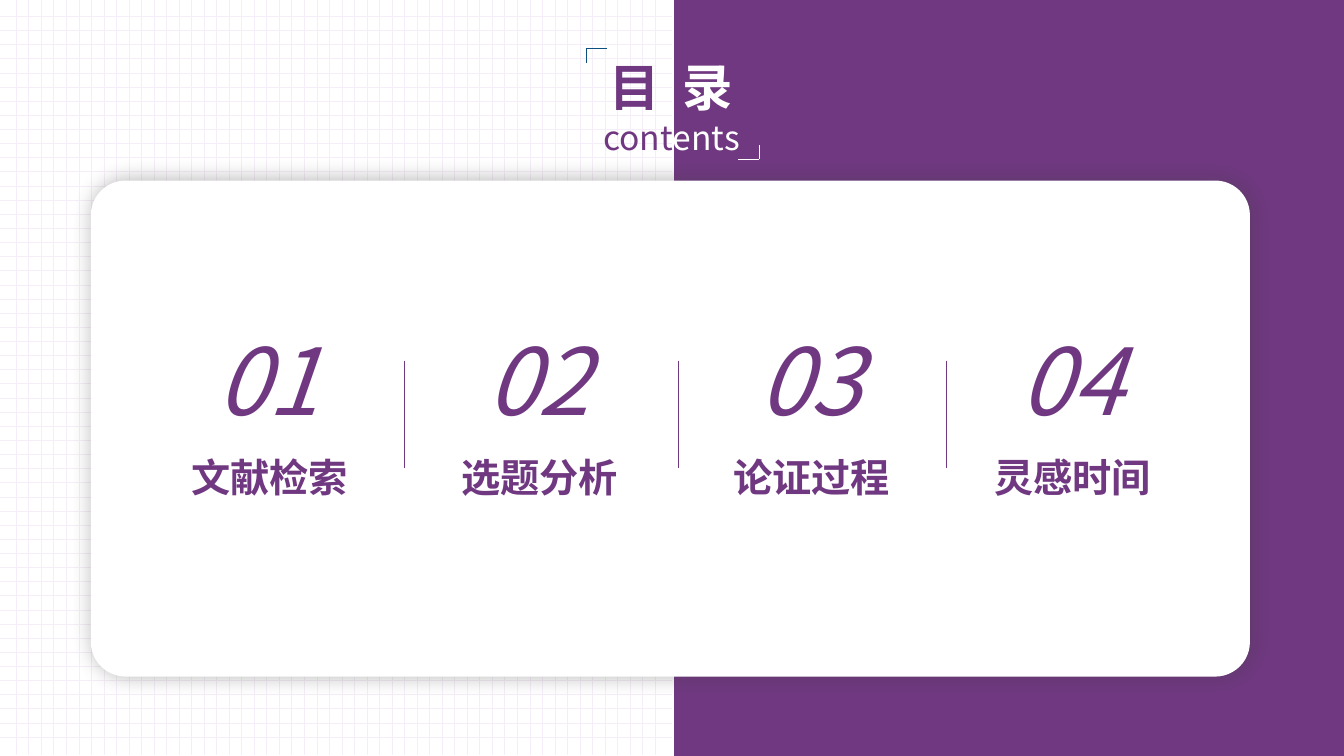
from pptx import Presentation
from pptx.dml.color import RGBColor
from pptx.enum.shapes import MSO_CONNECTOR as Conn, MSO_SHAPE as Shape
from pptx.enum.text import MSO_AUTO_SIZE as Fit, PP_ALIGN as Align
from pptx.oxml import parse_xml
from pptx.oxml.ns import nsdecls, qn
from pptx.util import Cm, Pt
from lxml import etree

FONT = "Noto Sans CJK SC"
PURPLE, WHITE, GRID, BLUE = "703881", "FFFFFF", "F5EDF7", "0D4E81"
color = RGBColor.from_string

prs = Presentation()
prs.slide_width, prs.slide_height = Cm(33.87), Cm(19.05)
slide = prs.slides.add_slide(prs.slide_layouts[6])


def line(x1, y1, x2, y2, tint, width=0.5):
    ends = [Cm(v) for v in (x1, y1, x2, y2)]
    rule = slide.shapes.add_connector(Conn.STRAIGHT, *ends)
    rule.line.color.rgb = color(tint)
    rule.line.width = Pt(width)
    etree.SubElement(rule._element.spPr, qn("a:effectLst"))


def text(x, y, w, h, rows, align=Align.CENTER):
    """Each row is a list of runs: (words, size, tint, bold, italic)."""
    box = slide.shapes.add_textbox(Cm(x), Cm(y), Cm(w), Cm(h))
    frame = box.text_frame
    frame.word_wrap = True
    frame.auto_size = Fit.SHAPE_TO_FIT_TEXT
    for i, row in enumerate(rows):
        para = frame.add_paragraph() if i else frame.paragraphs[0]
        para.alignment = align
        for words, size, tint, bold, slant in row:
            run = para.add_run()
            run.text = words
            font = run.font
            font.size, font.bold, font.italic = Pt(size), bold, slant
            font.color.rgb = color(tint)
            font.name = FONT
            etree.SubElement(font._element, qn("a:ea"), typeface=FONT)
    return frame


# Fine grid on the left half
COUNT = 52
for i in range(COUNT):
    y = 0.41 + i * (18.57 - 0.41) / (COUNT - 1)
    line(0, y, 16.94, y, GRID, 0.25)
for i in range(COUNT):
    x = 0.41 + i * (16.51 - 0.41) / (COUNT - 1)
    line(x, -0.03, x, 19.02, GRID)

# Purple half and white card
panel = slide.shapes.add_shape(Shape.RECTANGLE, Cm(16.99), 0, Cm(16.94), Cm(19.05))
card = slide.shapes.add_shape(
    Shape.ROUNDED_RECTANGLE, Cm(2.29), Cm(4.55), Cm(29.21), Cm(12.5))
card.adjustments[0] = 0.07
for block, tint in ((panel, PURPLE), (card, WHITE)):
    block.shadow.inherit = False
    block.fill.solid()
    block.fill.fore_color.rgb = color(tint)
    block.line.fill.background()

# Soft shadow of the card
glow = card._element.spPr.find(qn("a:effectLst"))
glow.append(parse_xml(
    f'<a:outerShdw {nsdecls("a")} blurRad="{Pt(15)}" dist="{Pt(2)}" dir="0" '
    'algn="ctr" rotWithShape="0"><a:srgbClr val="404040">'
    '<a:alpha val="40000"/></a:srgbClr></a:outerShdw>'))

# Title, each row split in colour where the halves meet
title = text(11.58, 1.3, 10.69, 2.82, [
    [("目 ", 36, PURPLE, True, False), ("录", 36, WHITE, True, False)],
    [("cont", 24, PURPLE, False, False), ("ents", 24, WHITE, False, False)],
])
# Letter spacing widens the gap between the two characters
title.paragraphs[0].runs[0].font._element.set("spc", "400")

# Corner marks around the title
for x, y, dx, dy, tint in ((14.78, 1.22, 0.52, 0.38, BLUE),
                           (19.13, 4.01, -0.54, -0.36, WHITE)):
    line(x, y, x + dx, y, tint)
    line(x, y, x, y + dy, tint)

# Four chapters
chapters = [(5.21, "文献检索"), (12.01, "选题分析"),
            (18.87, "论证过程"), (25.45, "灵感时间")]
for n, (x, name) in enumerate(chapters, 1):
    text(x, 8.03, 5.54, 3.07,
         [[(f"{n:02}", 66, PURPLE, False, True)]], Align.LEFT)
    text(x - 2.62, 11.3, 8.41, 1.45, [[(name, 28, PURPLE, True, False)]])

# Dividers between chapters
for x in (10.19, 17.09, 23.85):
    line(x, 9.09, x, 11.79, PURPLE)

prs.save("out.pptx")
